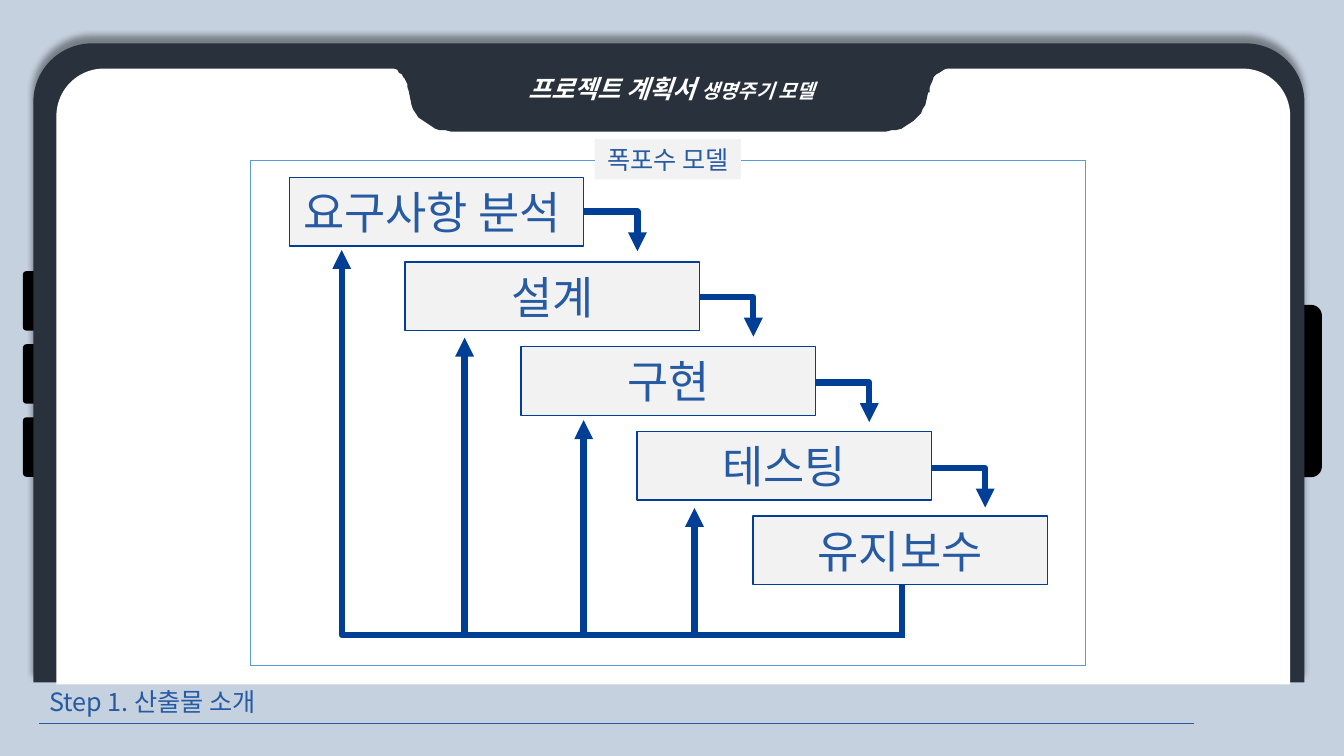
from dataclasses import dataclass

import lxml.etree
import pptx
import pptx.dml.color
import pptx.enum.shapes
import pptx.enum.text
import pptx.oxml.ns
import pptx.shapes.autoshape
import pptx.shapes.connector
import pptx.slide
import pptx.text.text
import pptx.util

Pt = pptx.util.Pt
PRESET = pptx.enum.shapes.MSO_SHAPE
CONNECTOR = pptx.enum.shapes.MSO_CONNECTOR
ALIGN = pptx.enum.text.PP_ALIGN
Point = tuple[float, float]


@dataclass(frozen=True)
class Theme:
    font: str = "Noto Sans CJK KR"
    background: str = "C5D1DF"
    case: str = "29313C"
    key: str = "000000"
    white: str = "FFFFFF"
    panel: str = "F2F2F2"
    text: str = "265AA2"
    flow: str = "003F95"
    frame: str = "5B9BD5"
    step_size: float = 32
    label_size: float = 18
    subtitle_size: float = 14
    flow_width: float = 4.5
    box_width: float = 1
    hairline: float = 0.5


@dataclass(frozen=True)
class Box:
    left: float
    top: float
    width: float
    height: float


@dataclass(frozen=True)
class CasePart:
    box: Box
    corners: tuple[float, float]
    color: str
    rotation: float = 0


@dataclass(frozen=True)
class Step:
    name: str
    alignment: pptx.enum.text.PP_ALIGN = ALIGN.CENTER


@dataclass(frozen=True)
class Feedback:
    start_x: float
    end: Point


THEME = Theme()
SIDE_KEYS = [CasePart(Box(0.5, 209.5 + 52.2 * i, 42.5, 10.8), (0.229, 0), THEME.key, 270)
             for i in range(3)]
POWER_KEY = CasePart(Box(871.2, 267.8, 123.1, 23), (0, 0.34), THEME.key, 270)
CASE = CasePart(Box(23.8, 31, 907.9, 456.5), (0.092, 0), THEME.case)
SCREEN = CasePart(Box(40.3, 49, 881.3, 439.9), (0.077, 0), THEME.white)

STEPS = [Step("요구사항 분석", ALIGN.LEFT), Step("설계"), Step("구현"), Step("테스팅"), Step("유지보수")]
FIRST_STEP = Box(206.6, 126.7, 210.3, 49)
STEP_RIGHT, STEP_DOWN = 82.8, 60.5
BUS_Y = 453.6
FEEDBACKS = [Feedback(646.6, (244.1, 178.6)), Feedback(388.8, (331.9, 241.2)),
             Feedback(473, (416.9, 300.2)), Feedback(553, (496.1, 362.9))]
LABEL = Box(424.8, 99.4, 104.4, 28.8)
FRAME = Box(178.6, 114.5, 596.8, 360.7)


def rgb(color: str) -> pptx.dml.color.RGBColor:
    return pptx.dml.color.RGBColor.from_string(color)


def add_element(parent: lxml.etree._Element, tag: str, **attributes: str) -> lxml.etree._Element:
    return lxml.etree.SubElement(parent, pptx.oxml.ns.qn(tag), attributes)


def bezier(start: Point, first: Point, second: Point, end: Point, count: int = 10) -> list[Point]:
    """Points along a cubic curve, without its start."""
    points = []
    for i in range(1, count + 1):
        t = i / count
        weights = ((1 - t) ** 3, 3 * t * (1 - t) ** 2, 3 * t * t * (1 - t), t ** 3)
        points.append(tuple(sum(w * p[axis] for w, p in zip(weights, (start, first, second, end)))
                            for axis in (0, 1)))
    return points


def format_run(run: pptx.text.text._Run, size: float, color: str, emphasis: bool = False) -> None:
    run.font.name = THEME.font
    run.font.size = Pt(size)
    run.font.bold = run.font.italic = emphasis
    run.font.color.rgb = rgb(color)
    add_element(run._r.get_or_add_rPr(), "a:ea", typeface=THEME.font)


def set_text(shape: pptx.shapes.autoshape.Shape, text: str, size: float,
             alignment: pptx.enum.text.PP_ALIGN, inset: float = 7.2) -> None:
    frame = shape.text_frame
    frame.text = text
    frame.word_wrap = False
    frame.vertical_anchor = pptx.enum.text.MSO_ANCHOR.MIDDLE
    frame.margin_left = frame.margin_right = Pt(inset)
    frame.paragraphs[0].alignment = alignment
    format_run(frame.paragraphs[0].runs[0], size, THEME.text)


def add_block(slide: pptx.slide.Slide, preset: PRESET, box: Box, color: str,
              outline: str | None = None) -> pptx.shapes.autoshape.Shape:
    shape = slide.shapes.add_shape(preset, Pt(box.left), Pt(box.top), Pt(box.width), Pt(box.height))
    shape.shadow.inherit = False
    shape.fill.solid()
    shape.fill.fore_color.rgb = rgb(color)
    if outline:
        shape.line.color.rgb = rgb(outline)
        shape.line.width = Pt(THEME.box_width)
    else:
        shape.line.fill.background()
    return shape


def add_case_part(slide: pptx.slide.Slide, part: CasePart) -> pptx.shapes.autoshape.Shape:
    shape = add_block(slide, PRESET.ROUND_2_SAME_RECTANGLE, part.box, part.color)
    shape.adjustments[0], shape.adjustments[1] = part.corners
    shape.rotation = part.rotation
    return shape


def add_upward_shadow(shape: pptx.shapes.autoshape.Shape) -> None:
    effects = shape.element.spPr.find(pptx.oxml.ns.qn("a:effectLst"))
    shadow = add_element(effects, "a:outerShdw", blurRad=str(Pt(4)), dist=str(Pt(5)),
                         dir="16200000", rotWithShape="0")
    add_element(add_element(shadow, "a:srgbClr", val=THEME.key), "a:alpha", val="40000")


def add_line(slide: pptx.slide.Slide, start: Point, end: Point, color: str, width: float,
             kind: CONNECTOR = CONNECTOR.STRAIGHT) -> pptx.shapes.connector.Connector:
    line = slide.shapes.add_connector(kind, *map(Pt, start + end))
    line.line.color.rgb = rgb(color)
    line.line.width = Pt(width)
    add_element(line.element.spPr, "a:effectLst")
    return line


def add_bent_arrow(slide: pptx.slide.Slide, start: Point, end: Point) -> None:
    """Arrow that runs sideways first, then turns once towards its end."""
    arrow = add_line(slide, start, end, THEME.flow, THEME.flow_width, CONNECTOR.ELBOW)
    arrow.element.spPr.find(pptx.oxml.ns.qn("a:prstGeom")).set("prst", "bentConnector2")
    add_element(arrow.line._get_or_add_ln(), "a:tailEnd", type="triangle")


def add_title_tab(slide: pptx.slide.Slide) -> None:
    start = (291.6, 33.1)
    outline = [(663.8, 33.1), (663.8, 36), (676.1, 36), (676.1, 48.2), (709.2, 48.2), (682.6, 48.2)]
    outline += bezier(outline[-1], (671.8, 48.2), (663.8, 56.2), (663.8, 65.5))
    outline += [(663.1, 66.2), (661, 74.9)]
    outline += bezier(outline[-1], (656.6, 85.7), (645.8, 93.6), (632.9, 93.6))
    outline += [(321.8, 93.6)]
    outline += bezier(outline[-1], (308.9, 93.6), (298.1, 85.7), (293.8, 74.9))
    outline += [(291.6, 64.8)]
    outline += bezier(outline[-1], (291.6, 56.9), (286.6, 51.1), (280.1, 48.2))
    outline += [(276.5, 48.2), (272.9, 46.8), (245.5, 46.8), (276.5, 46.8), (276.5, 36), (291.6, 36)]
    builder = slide.shapes.build_freeform(*start, scale=Pt(1))
    builder.add_line_segments(outline, close=True)
    tab = builder.convert_to_shape()
    tab.shadow.inherit = False
    tab.fill.solid()
    tab.fill.fore_color.rgb = rgb(THEME.case)
    tab.line.fill.background()

    title = slide.shapes.title
    title.left, title.top, title.width, title.height = Pt(291.6), Pt(40), Pt(376), Pt(47)
    title.text_frame.auto_size = pptx.enum.text.MSO_AUTO_SIZE.NONE
    title.text_frame.vertical_anchor = pptx.enum.text.MSO_ANCHOR.MIDDLE
    paragraph = title.text_frame.paragraphs[0]
    paragraph.alignment = ALIGN.CENTER
    for text, size in (("프로젝트 계획서 ", THEME.label_size), ("생명주기 모델", THEME.subtitle_size)):
        run = paragraph.add_run()
        run.text = text
        format_run(run, size, THEME.white, emphasis=True)
    tab.element.addnext(title.element)


def add_waterfall(slide: pptx.slide.Slide) -> None:
    first = FIRST_STEP
    for i, step in enumerate(STEPS):
        box = Box(first.left + STEP_RIGHT * i, first.top + STEP_DOWN * i, first.width, first.height)
        shape = add_block(slide, PRESET.RECTANGLE, box, THEME.panel, THEME.flow)
        set_text(shape, step.name, THEME.step_size, step.alignment, inset=10)
    for i in range(len(STEPS) - 1):
        x, y = first.left + first.width + STEP_RIGHT * i, 151.2 + 61 * i
        add_bent_arrow(slide, (x, y), (x + 38.4, y + 28.3))
    for feedback in FEEDBACKS:
        add_bent_arrow(slide, (feedback.start_x, BUS_Y), feedback.end)
    add_line(slide, (644.4, 417.6), (644.4, BUS_Y), THEME.flow, THEME.flow_width)


def add_labelled_frame(slide: pptx.slide.Slide) -> None:
    label = add_block(slide, PRESET.RECTANGLE, LABEL, THEME.panel)
    set_text(label, "폭포수 모델", THEME.label_size, ALIGN.CENTER)
    right, bottom = FRAME.left + FRAME.width, FRAME.top + FRAME.height
    corners = [(LABEL.left, FRAME.top), (FRAME.left, FRAME.top), (FRAME.left, bottom),
               (right, bottom), (right, FRAME.top), (LABEL.left + LABEL.width, FRAME.top)]
    for start, end in zip(corners, corners[1:]):
        add_line(slide, start, end, THEME.frame, THEME.hairline)


def main() -> None:
    presentation = pptx.Presentation()
    presentation.slide_width, presentation.slide_height = Pt(960), Pt(540)
    slide = presentation.slides.add_slide(presentation.slide_layouts.get_by_name("Title Only"))
    slide.background.fill.solid()
    slide.background.fill.fore_color.rgb = rgb(THEME.background)
    for part in (*SIDE_KEYS, POWER_KEY):
        add_case_part(slide, part)
    add_upward_shadow(add_case_part(slide, CASE))
    add_case_part(slide, SCREEN)
    add_title_tab(slide)
    add_line(slide, (28.1, 517), (853.2, 517), THEME.text, THEME.hairline)
    footer = slide.shapes.add_textbox(Pt(28.1), Pt(486.7), Pt(177.1), Pt(28.8))
    set_text(footer, "Step 1. 산출물 소개", THEME.label_size, ALIGN.LEFT)
    add_waterfall(slide)
    add_labelled_frame(slide)
    presentation.save("out.pptx")


if __name__ == "__main__":
    main()
